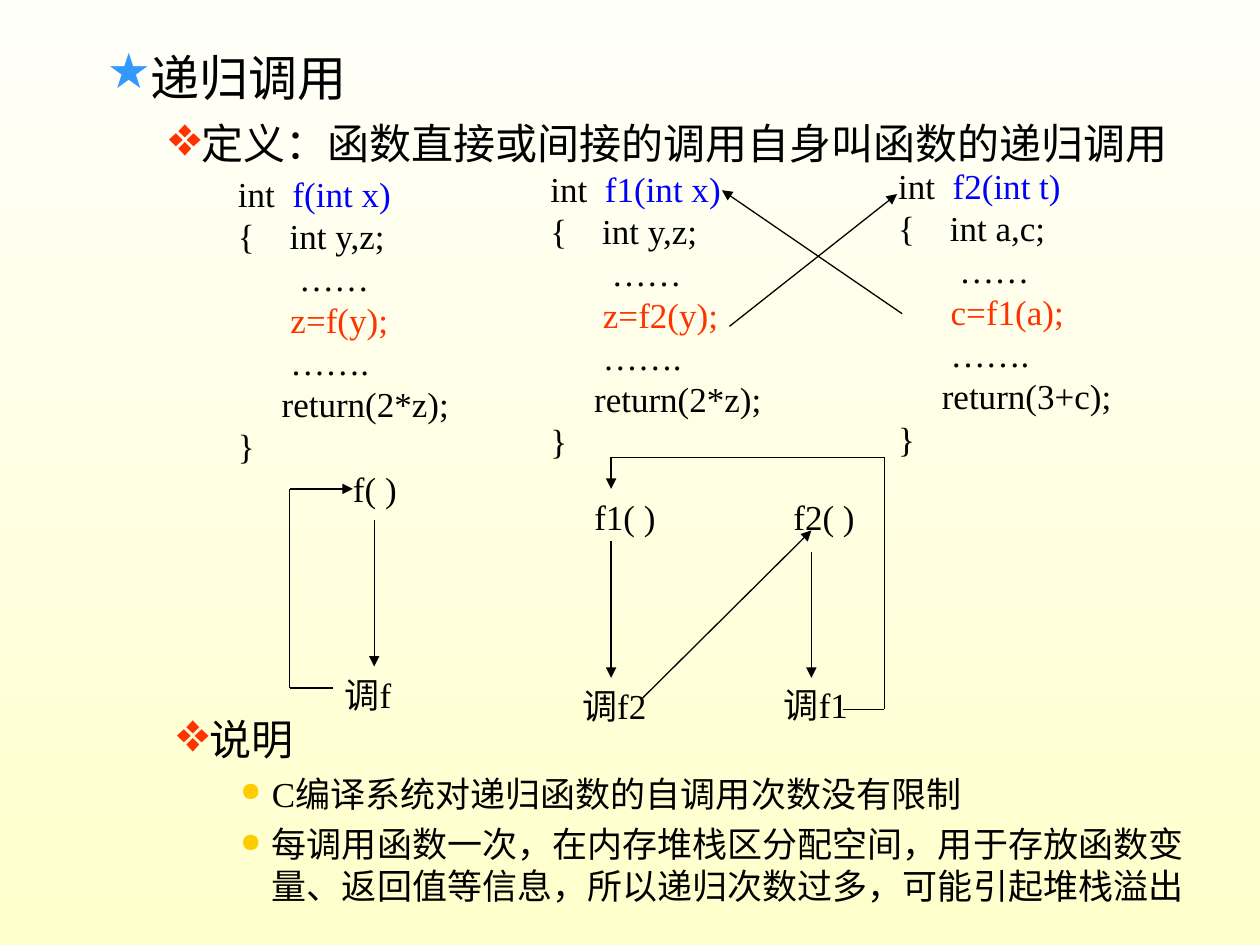
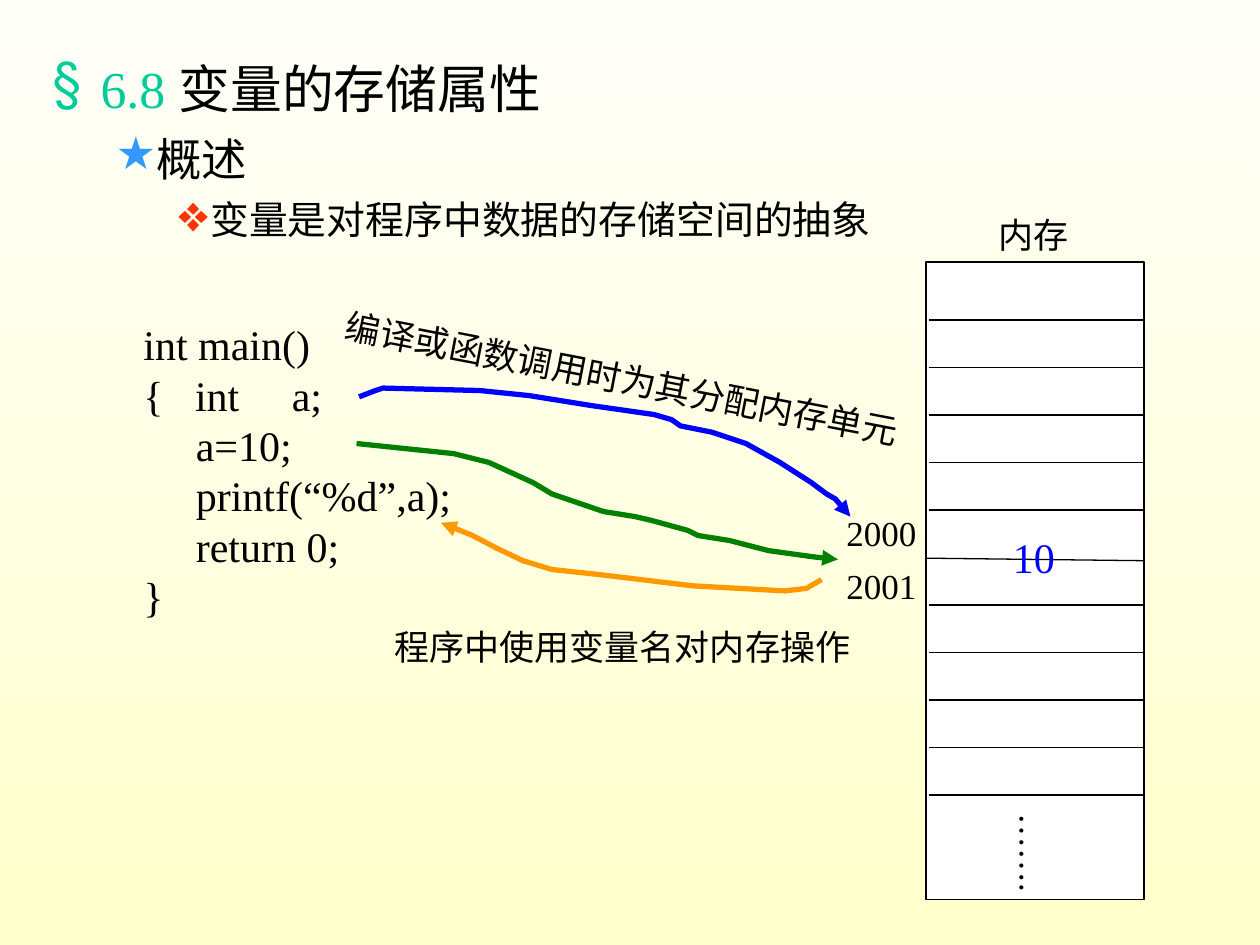
from dataclasses import dataclass
from itertools import pairwise

import lxml.etree
import pptx
import pptx.dml.color
import pptx.enum.shapes
import pptx.enum.text
import pptx.oxml.ns
import pptx.util
from pptx.util import Inches

FONT = "Times New Roman"
COLORS = {
    "black": "000000", "white": "FFFFFF", "teal": "00CC99", "sky": "3399FF",
    "red": "FF3300", "yellow": "FFCC00", "blue": "0000FF", "green": "008000",
    "orange": "FF9900", "sky_top": "FFFFFA", "sky_bottom": "FFFFCC",
}
ALIGN = pptx.enum.text.PP_ALIGN
ANCHOR = pptx.enum.text.MSO_ANCHOR
Point = tuple[float, float]
Run = tuple[str, str]  # text, colour


@dataclass
class Level:
    bullet: str
    color: str
    percent: int
    margin: float
    hanging: float
    before: float


LEVELS = [
    Level("§", "teal", 100, 0.38, 0.38, 8),
    Level("★", "sky", 100, 0.81, 0.31, 7),
    Level("❖", "red", 133, 1.25, 0.25, 6),
    Level("●", "yellow", 75, 1.75, 0.25, 5),
]


@dataclass
class Item:
    level: int
    size: float
    runs: list[Run]


@dataclass
class Label:
    text: str
    left: float
    top: float
    width: float
    height: float = 0.44
    size: float = 20
    color: str = "black"
    wrap: bool = False
    rotation: float = 0
    vertical: bool = False


@dataclass
class Function:
    left: float
    top: float
    signature: str
    variables: str
    call: str
    result: str


@dataclass
class Stroke:
    color: str
    points: list[Point]


def rgb(name: str) -> pptx.dml.color.RGBColor:
    return pptx.dml.color.RGBColor.from_string(COLORS[name])


def add_xml(parent, tag: str, **attributes: str):
    return lxml.etree.SubElement(parent, pptx.oxml.ns.qn(tag), attributes)


def add_slide(deck):
    slide = deck.slides.add_slide(deck.slide_layouts[6])
    fill = slide.background.fill
    fill.gradient()
    fill.gradient_angle = 270
    for stop, color in zip(fill.gradient_stops, ("sky_top", "sky_bottom")):
        stop.color.rgb = rgb(color)
    return slide


def add_frame(slide, left: float, top: float, width: float, height: float, wrap: bool = True):
    box = slide.shapes.add_textbox(Inches(left), Inches(top), Inches(width), Inches(height))
    box.text_frame.word_wrap = wrap
    return box


def next_paragraph(frame, index: int):
    return frame.add_paragraph() if index else frame.paragraphs[0]


def fill_paragraph(paragraph, runs: list[Run], size: float) -> None:
    paragraph.font.name = FONT
    paragraph.font.size = pptx.util.Pt(size)
    same_color = len({color for _, color in runs}) == 1
    if same_color:
        paragraph.font.color.rgb = rgb(runs[0][1])
    for text, color in runs:
        run = paragraph.add_run()
        run.text = text
        if not same_color:
            run.font.color.rgb = rgb(color)


def add_outline(slide, left: float, top: float, width: float, height: float,
                items: list[Item]) -> None:
    frame = add_frame(slide, left, top, width, height).text_frame
    for index, item in enumerate(items):
        level = LEVELS[item.level]
        paragraph = next_paragraph(frame, index)
        paragraph.level = item.level
        properties = paragraph._p.get_or_add_pPr()
        properties.set("marL", str(Inches(level.margin)))
        properties.set("indent", str(-Inches(level.hanging)))
        bullet_color = add_xml(properties, "a:buClr")
        add_xml(bullet_color, "a:srgbClr", val=COLORS[level.color])
        add_xml(properties, "a:buSzPct", val=str(level.percent * 1000))
        add_xml(properties, "a:buChar", char=level.bullet)
        if index:
            paragraph.space_before = pptx.util.Pt(level.before)
        fill_paragraph(paragraph, item.runs, item.size)


def add_code(slide, left: float, top: float, width: float, height: float, size: float,
             lines: list[list[Run]]) -> None:
    frame = add_frame(slide, left, top, width, height).text_frame
    for index, runs in enumerate(lines):
        fill_paragraph(next_paragraph(frame, index), runs, size)


def add_function(slide, function: Function) -> None:
    add_code(slide, function.left, function.top, 2.2, 2.44, 20, [
        [("int  ", "black"), (function.signature, "blue")],
        [("{    int " + function.variables + ";", "black")],
        [("       ……", "black")],
        [("      ", "black"), (function.call, "red")],
        [("      …….", "black")],
        [("     return(" + function.result + ");", "black")],
        [("}", "black")],
    ])


def add_label(slide, label: Label) -> None:
    box = add_frame(slide, label.left, label.top, label.width, label.height, label.wrap)
    box.rotation = label.rotation
    frame = box.text_frame
    frame.vertical_anchor = ANCHOR.MIDDLE
    if not label.wrap:  # slack that keeps one-line labels on one line
        frame.margin_left = frame.margin_right = Inches(0.02)
    if label.vertical:
        frame._txBody.bodyPr.set("vert", "eaVert")
    frame.paragraphs[0].alignment = ALIGN.CENTER
    fill_paragraph(frame.paragraphs[0], [(label.text, label.color)], label.size)


def style_line(shape, color: str, width: float, arrow: bool) -> None:
    shape.line.color.rgb = rgb(color)
    shape.line.width = pptx.util.Pt(width)
    if arrow:
        add_xml(shape.line._get_or_add_ln(), "a:tailEnd", type="triangle")


def add_route(slide, points: list[Point], arrow: bool = True) -> None:
    """Join the points with straight lines; the last one may carry an arrowhead."""
    for start, end in pairwise(points):
        line = slide.shapes.add_connector(
            pptx.enum.shapes.MSO_CONNECTOR.STRAIGHT, *map(Inches, start + end))
        style_line(line, "black", 0.75, arrow and end == points[-1])
        add_xml(line._element.spPr, "a:effectLst")


def add_stroke(slide, stroke: Stroke) -> None:
    points = [(Inches(x), Inches(y)) for x, y in stroke.points]
    builder = slide.shapes.build_freeform(*points[0])
    builder.add_line_segments(points[1:], close=False)
    curve = builder.convert_to_shape()
    curve.shadow.inherit = False
    curve.fill.background()
    style_line(curve, stroke.color, 3, True)


def build_recursion(deck) -> None:
    slide = add_slide(deck)
    add_outline(slide, 0.25, 0.33, 9.33, 1.25, [
        Item(1, 28, [("递归调用", "black")]),
        Item(2, 24, [("定义：函数直接或间接的调用自身叫函数的递归调用", "black")]),
    ])

    # Call diagrams: direct recursion, then indirect recursion
    for label in (
        Label("f( )", 2.7, 3.66, 0.55),
        Label("调f", 2.6, 5.29, 0.64),
        Label("调f2", 4.49, 5.38, 0.77),
        Label("调f1", 6.1, 5.21, 0.75, 0.77, wrap=True),
        Label("f1( )", 4.62, 3.88, 0.68),
        Label("f2( )", 6.2, 3.88, 0.68),
    ):
        add_label(slide, label)
    for route in (
        [(2.97, 4.13), (2.97, 5.29)],
        [(2.64, 5.46), (2.3, 5.46), (2.3, 3.88), (2.8, 3.88)],
        [(4.85, 4.29), (4.85, 5.38)],
        [(5.1, 5.54), (6.44, 4.21)],
        [(6.44, 4.38), (6.44, 5.38)],
        [(6.69, 5.63), (7.02, 5.63), (7.02, 3.63), (4.85, 3.63), (4.85, 3.88)],
    ):
        add_route(slide, route)

    # Remarks
    add_outline(slide, 0.31, 5.61, 9.33, 1.89, [
        Item(2, 24, [("说明", "black")]),
        Item(3, 20, [("C编译系统对递归函数的自调用次数没有限制", "black")]),
        Item(3, 20, [("每调用函数一次，在内存堆栈区分配空间，用于存放函数变量、"
                      "返回值等信息，所以递归次数过多，可能引起堆栈溢出", "black")]),
    ])

    # Source code and the crossing calls between f1 and f2
    for function in (
        Function(1.79, 1.32, "f(int x)", "y,z", "z=f(y);", "2*z"),
        Function(4.27, 1.28, "f1(int x)", "y,z", "z=f2(y);", "2*z"),
        Function(7.03, 1.26, "f2(int t)", "a,c", "c=f1(a);", "3+c"),
    ):
        add_function(slide, function)
    add_route(slide, [(5.79, 2.59), (7.12, 1.54)])
    add_route(slide, [(7.16, 2.49), (5.73, 1.51)])


def build_storage(deck) -> None:
    slide = add_slide(deck)
    add_outline(slide, 0.32, 0.4, 9.25, 1.64, [
        Item(0, 29.6, [("6.8 ", "teal"), ("变量的存储属性", "black")]),
        Item(1, 25.9, [("概述", "black")]),
        Item(2, 22.2, [("变量是对程序中数据的存储空间的抽象", "black")]),
    ])

    # Memory column with evenly spaced cells; the sixth rule is slightly slanted
    memory = slide.shapes.add_shape(
        pptx.enum.shapes.MSO_SHAPE.RECTANGLE, Inches(7.35), Inches(2.08), Inches(1.73), Inches(5.06))
    memory.shadow.inherit = False
    memory.fill.solid()
    memory.fill.fore_color.rgb = rgb("white")
    style_line(memory, "black", 0.75, False)
    first_rule, last_rule, slanted = 2.54, 6.31, 5
    for index in range(11):
        y = first_rule + index * (last_rule - first_rule) / 10
        start = (7.35, 4.43) if index == slanted else (7.37, y)
        end = (9.08, 4.45) if index == slanted else (9.08, y)
        add_route(slide, [start, end], arrow=False)

    # Program
    program = ["int main()", "{   int     a;", "     a=10;", "     printf(“%d”,a);",
               "     return 0;", "}"]
    add_code(slide, 1.04, 2.48, 2.9, 2.5, 24, [[(line, "black")] for line in program])

    # Labels
    for label in (
        Label("内存", 7.83, 1.64, 0.75),
        Label("…….", 7.94, 6.36, 0.53, 0.73, vertical=True),
        Label("编译或函数调用时为其分配内存单元", 2.61, 2.78, 4.65, rotation=10.9),
        Label("10", 7.94, 4.17, 0.53, 0.5, size=24, color="blue"),
        Label("2000", 6.62, 4.01, 0.75),
        Label("2001", 6.62, 4.43, 0.75),
        Label("程序中使用变量名对内存操作", 3.03, 4.91, 3.82),
    ):
        add_label(slide, label)

    # Curved arrows: allocate, write, read
    for stroke in (
        Stroke("blue", [
            (2.85, 3.15), (2.98, 3.1), (3.04, 3.08), (3.81, 3.1), (4.2, 3.14), (4.7, 3.22),
            (5.19, 3.29), (5.33, 3.33), (5.4, 3.38), (5.65, 3.43), (5.92, 3.52), (6.19, 3.67),
            (6.44, 3.83), (6.56, 3.92), (6.63, 3.96), (6.75, 4.1)]),
        Stroke("green", [
            (2.83, 3.52), (3.6, 3.6), (3.88, 3.67), (4.23, 3.83), (4.38, 3.92), (4.79, 4.06),
            (5.04, 4.1), (5.17, 4.13), (5.46, 4.21), (5.54, 4.25), (5.79, 4.29), (6.1, 4.37),
            (6.46, 4.42), (6.65, 4.44)]),
        Stroke("orange", [
            (6.52, 4.6), (6.4, 4.67), (6.23, 4.69), (5.5, 4.65), (4.75, 4.56), (4.38, 4.52),
            (4.15, 4.45), (3.94, 4.35), (3.75, 4.25), (3.5, 4.15)]),
    ):
        add_stroke(slide, stroke)


def main() -> None:
    deck = pptx.Presentation()
    deck.slide_width, deck.slide_height = Inches(10), Inches(7.5)
    build_recursion(deck)
    build_storage(deck)
    deck.save("out.pptx")


if __name__ == "__main__":
    main()
